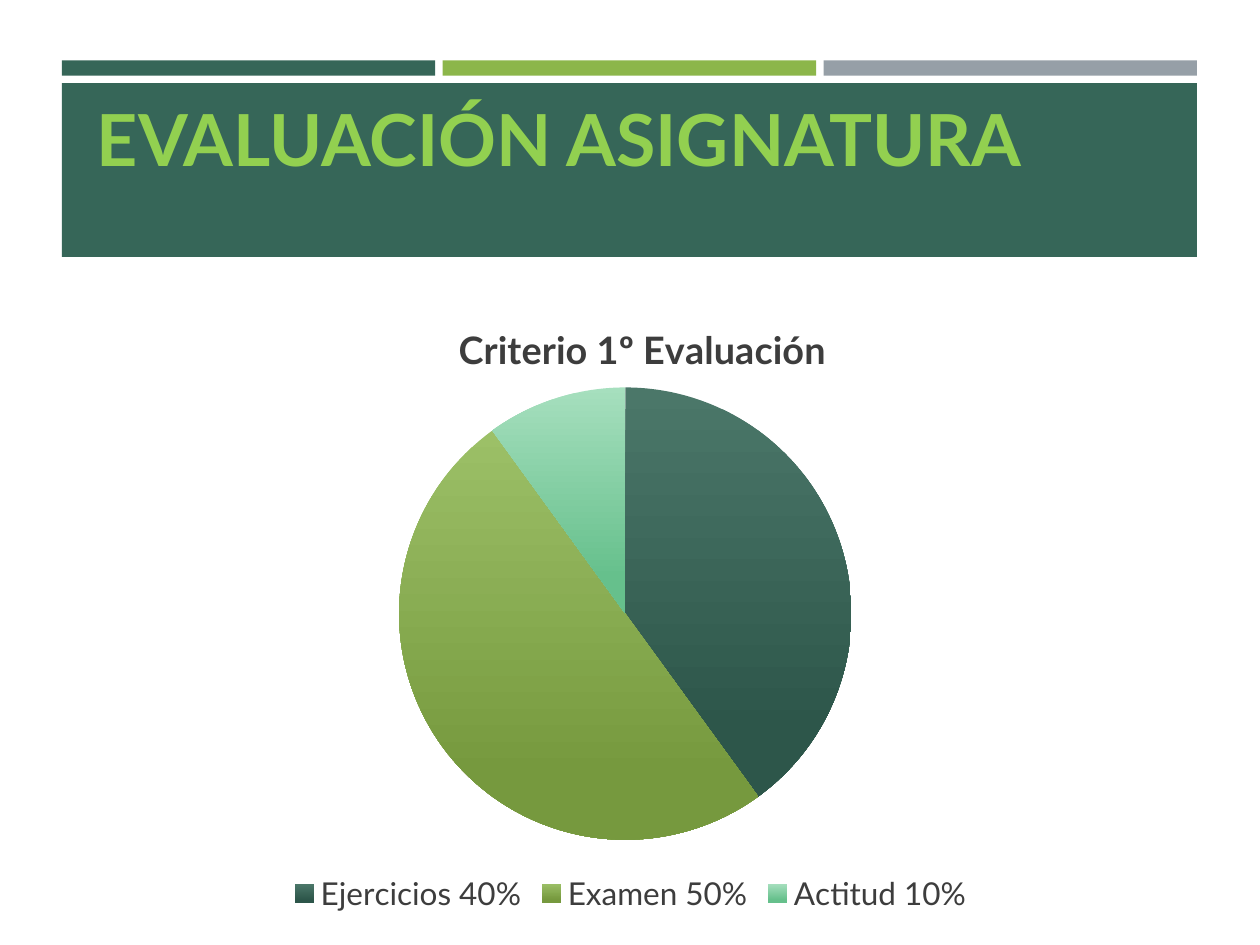
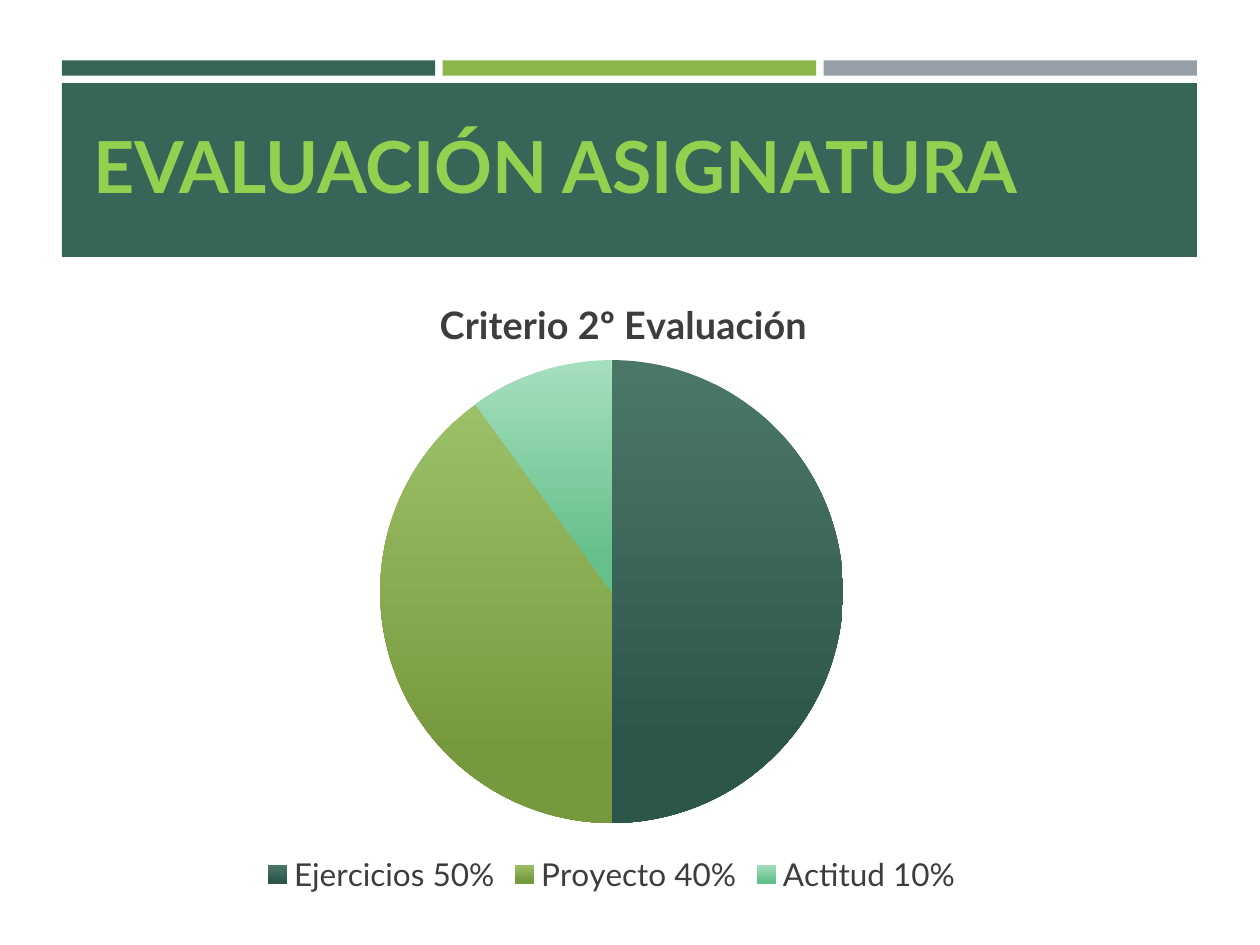
from dataclasses import dataclass
from lxml.etree import SubElement
from pptx import Presentation
from pptx.chart.data import CategoryChartData
from pptx.dml.color import RGBColor
from pptx.enum.chart import XL_CHART_TYPE, XL_LEGEND_POSITION
from pptx.enum.shapes import MSO_SHAPE
from pptx.enum.text import MSO_ANCHOR
from pptx.oxml.ns import qn
from pptx.util import Inches, Pt


@dataclass(frozen=True)
class Theme:
    font: str = "Lato"
    band: str = "366658"
    strips: tuple = ("366658", "8CB64A", "969FA7")
    title: str = "92D050"
    chart_text: str = "3D3D3D"
    slices: tuple = (("4B7769", "2D564A"), ("9CC067", "76993E"), ("A6DFBE", "66C08C"))
    title_size: float = 41
    chart_title_size: float = 21.6
    legend_size: float = 18


THEME = Theme()

# Shared band geometry, in inches
BAND_LEFT, BAND_WIDTH, STRIP_GAP = 0.49, 9.01, 0.06

# What differs between the slides; plot and heading are fractions of the chart
SLIDES = (
    dict(title_at=(0.67, 0.47), chart_at=(0.83, 2.25),
         heading="Criterio 1º Evaluación", heading_at=(0.33, 0.05),
         plot=(0.28, 0.16, 0.43, 0.72),
         marks=(("Ejercicios", 40), ("Examen", 50), ("Actitud", 10))),
    dict(title_at=(0.64, 0.68), chart_at=(0.68, 2.1),
         heading="Criterio 2º Evaluación", heading_at=(0.33, 0.04),
         plot=(0.28, 0.15, 0.44, 0.73),
         marks=(("Ejercicios", 50), ("Proyecto", 40), ("Actitud", 10))),
)


def format_font(font, size, color, bold):
    values = {"name": THEME.font, "size": Pt(size), "bold": bold}
    for name, value in values.items():
        setattr(font, name, value)
    font.color.rgb = RGBColor.from_string(color)


def add_bar(slide, left, top, width, height, color):
    shape = slide.shapes.add_shape(
        MSO_SHAPE.RECTANGLE, Inches(left), Inches(top), Inches(width), Inches(height))
    shape.shadow.inherit = False
    shape.fill.solid()
    shape.fill.fore_color.rgb = RGBColor.from_string(color)
    shape.line.fill.background()


def add_header(slide):
    # Three equal strips above one full band
    count = len(THEME.strips)
    width = (BAND_WIDTH - (count - 1) * STRIP_GAP) / count
    for index, color in enumerate(THEME.strips):
        add_bar(slide, BAND_LEFT + index * (width + STRIP_GAP), 0.48, width, 0.12, color)
    add_bar(slide, BAND_LEFT, 0.66, BAND_WIDTH, 1.38, THEME.band)


def add_title(slide, text, left, top):
    shape = slide.shapes.add_textbox(Inches(left), Inches(top), Inches(9), Inches(1.25))
    frame = shape.text_frame
    for name, value in {"word_wrap": True, "vertical_anchor": MSO_ANCHOR.MIDDLE}.items():
        setattr(frame, name, value)
    run = frame.paragraphs[0].add_run()
    run.text = text
    format_font(run.font, THEME.title_size, THEME.title, True)


def place(part, index, fractions, inner=False):
    """Fix a chart part at x, y and optionally width, height."""
    layout = part.find(qn("c:layout"))
    if layout is None:
        layout = SubElement(part, qn("c:layout"))
        part.insert(index, layout)
    for child in list(layout):
        layout.remove(child)
    manual = SubElement(layout, qn("c:manualLayout"))
    settings = [("layoutTarget", "inner")] if inner else []
    settings += [("xMode", "edge"), ("yMode", "edge")]
    settings += zip("xywh", fractions)
    for tag, value in settings:
        SubElement(manual, qn(f"c:{tag}")).set("val", str(value))


def fill_slice(point, colors):
    fill = point.format.fill
    fill.gradient()
    fill.gradient_angle = 270  # counter-clockwise: runs from top to bottom
    for stop, position, color in zip(fill.gradient_stops, (0, 0.84), colors):
        stop.position = position
        stop.color.rgb = RGBColor.from_string(color)
    point.format.line.fill.background()


def add_pie(slide, chart_at, heading, heading_at, plot, marks):
    data = CategoryChartData()
    data.categories = [f"{name} {value}%" for name, value in marks]
    data.add_series("Series 1", [value for _, value in marks])
    left, top = chart_at
    chart = slide.shapes.add_chart(
        XL_CHART_TYPE.PIE, Inches(left), Inches(top), Inches(8.35), Inches(5.04), data).chart
    format_font(chart.font, 10, "000000", False)

    # Heading
    chart.has_title = True
    paragraph = chart.chart_title.text_frame.paragraphs[0]
    run = paragraph.add_run()
    run.text = heading
    for font in (paragraph.font, run.font):
        format_font(font, THEME.chart_title_size, THEME.chart_text, True)

    # Legend
    chart.has_legend = True
    for name, value in {"position": XL_LEGEND_POSITION.BOTTOM, "include_in_layout": False}.items():
        setattr(chart.legend, name, value)
    format_font(chart.legend.font, THEME.legend_size, THEME.chart_text, False)

    # Positions: a layout follows the title's text and opens the plot area
    chart_element = chart._chartSpace.find(qn("c:chart"))
    place(chart_element.find(qn("c:title")), 1, heading_at)
    place(chart_element.find(qn("c:plotArea")), 0, plot, inner=True)

    # Slices
    chart.plots[0].vary_by_categories = True
    for index, colors in enumerate(THEME.slices):
        fill_slice(chart.plots[0].series[0].points[index], colors)


def main():
    presentation = Presentation()
    presentation.slide_width, presentation.slide_height = Inches(10), Inches(7.5)
    for content in SLIDES:
        slide = presentation.slides.add_slide(presentation.slide_layouts[6])
        add_header(slide)
        add_pie(slide, **{key: value for key, value in content.items() if key != "title_at"})
        add_title(slide, "EVALUACIÓN ASIGNATURA", *content["title_at"])
    presentation.save("out.pptx")


main()
